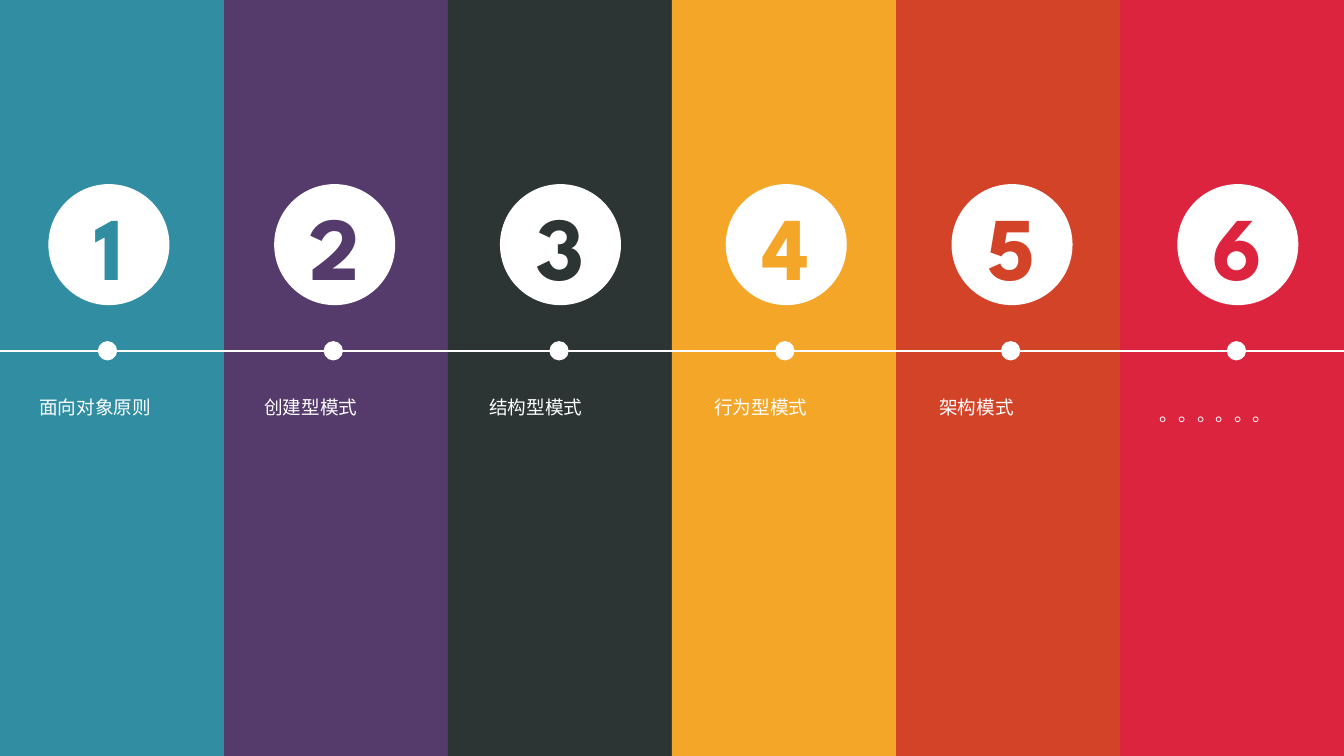
"""Build a six-band numbered agenda slide on design patterns."""
import pptx
import pptx.util
import pptx.dml.color
import pptx.enum.shapes
import pptx.enum.text
import pptx.oxml.ns
import lxml.etree

Cm = pptx.util.Cm
Pt = pptx.util.Pt
RGBColor = pptx.dml.color.RGBColor
MSO_SHAPE = pptx.enum.shapes.MSO_SHAPE
PP_ALIGN = pptx.enum.text.PP_ALIGN

WHITE = RGBColor(0xFF, 0xFF, 0xFF)
TEAL = RGBColor(0x30, 0x8D, 0xA2)
PURPLE = RGBColor(0x55, 0x3A, 0x6C)
CHARCOAL = RGBColor(0x2C, 0x35, 0x33)
AMBER = RGBColor(0xF4, 0xA6, 0x28)
ORANGE = RGBColor(0xD3, 0x43, 0x28)
RED = RGBColor(0xDC, 0x24, 0x3F)
FONT = "League Spartan"

WIDTH, HEIGHT = 33.87, 19.05
BAND = WIDTH / 6
MARK_STEP = 5.69
LABEL_STEP = 5.67
LINE_Y = 8.84
DOT = 0.46

TOPICS = [
    ("面向对象原则", TEAL),
    ("创建型模式", PURPLE),
    ("结构型模式", CHARCOAL),
    ("行为型模式", AMBER),
    ("架构模式", ORANGE),
    ("。。。。。。", RED),
]

prs = pptx.Presentation()
prs.slide_width, prs.slide_height = Cm(WIDTH), Cm(HEIGHT)
s = prs.slides.add_slide(prs.slide_layouts[6])


def add_filled(kind, left, top, width, height, color):
    sp = s.shapes.add_shape(kind, Cm(left), Cm(top), Cm(width), Cm(height))
    sp.shadow.inherit = False
    sp.fill.solid()
    sp.fill.fore_color.rgb = color
    sp.line.fill.background()
    return sp


def add_run(p, text, size, color, bold=False):
    r = p.add_run()
    r.text = text
    r.font.name = FONT
    r.font.size = Pt(size)
    r.font.bold = bold
    r.font.color.rgb = color


for i, (topic, color) in enumerate(TOPICS):
    add_filled(MSO_SHAPE.RECTANGLE, i * BAND, 0, BAND, HEIGHT, color)

timeline = s.shapes.add_connector(
    pptx.enum.shapes.MSO_CONNECTOR.STRAIGHT, 0, Cm(LINE_Y), Cm(WIDTH), Cm(LINE_Y))
timeline.line.color.rgb = WHITE
timeline.line.width = Pt(1)
lxml.etree.SubElement(timeline._element.spPr, pptx.oxml.ns.qn("a:effectLst"))

for i, (topic, color) in enumerate(TOPICS):
    dot = add_filled(MSO_SHAPE.OVAL, 2.48 + i * MARK_STEP, LINE_Y - DOT / 2, DOT, DOT, WHITE)
    dot.line.color.rgb = WHITE
    dot.line.width = Pt(0.75)

    circle = add_filled(MSO_SHAPE.OVAL, 1.22 + i * MARK_STEP, 4.64, 3.05, 3.05, WHITE)
    tf = circle.text_frame
    tf.vertical_anchor = pptx.enum.text.MSO_ANCHOR.MIDDLE
    p = tf.paragraphs[0]
    p.alignment = PP_ALIGN.CENTER
    add_run(p, str(i + 1), 64, color, bold=True)

    is_last = i == len(TOPICS) - 1
    left = 28.98 if is_last else 0.74 + i * LABEL_STEP
    top = 9.86 if is_last else 9.68
    label = s.shapes.add_textbox(Cm(left), Cm(top), Cm(4.11), Cm(0.99))
    tf = label.text_frame
    tf.word_wrap = True
    tf.auto_size = pptx.enum.text.MSO_AUTO_SIZE.SHAPE_TO_FIT_TEXT
    p = tf.paragraphs[0]
    p.line_spacing = 1.3
    add_run(p, topic, 13.3, WHITE)

prs.save("out.pptx")
